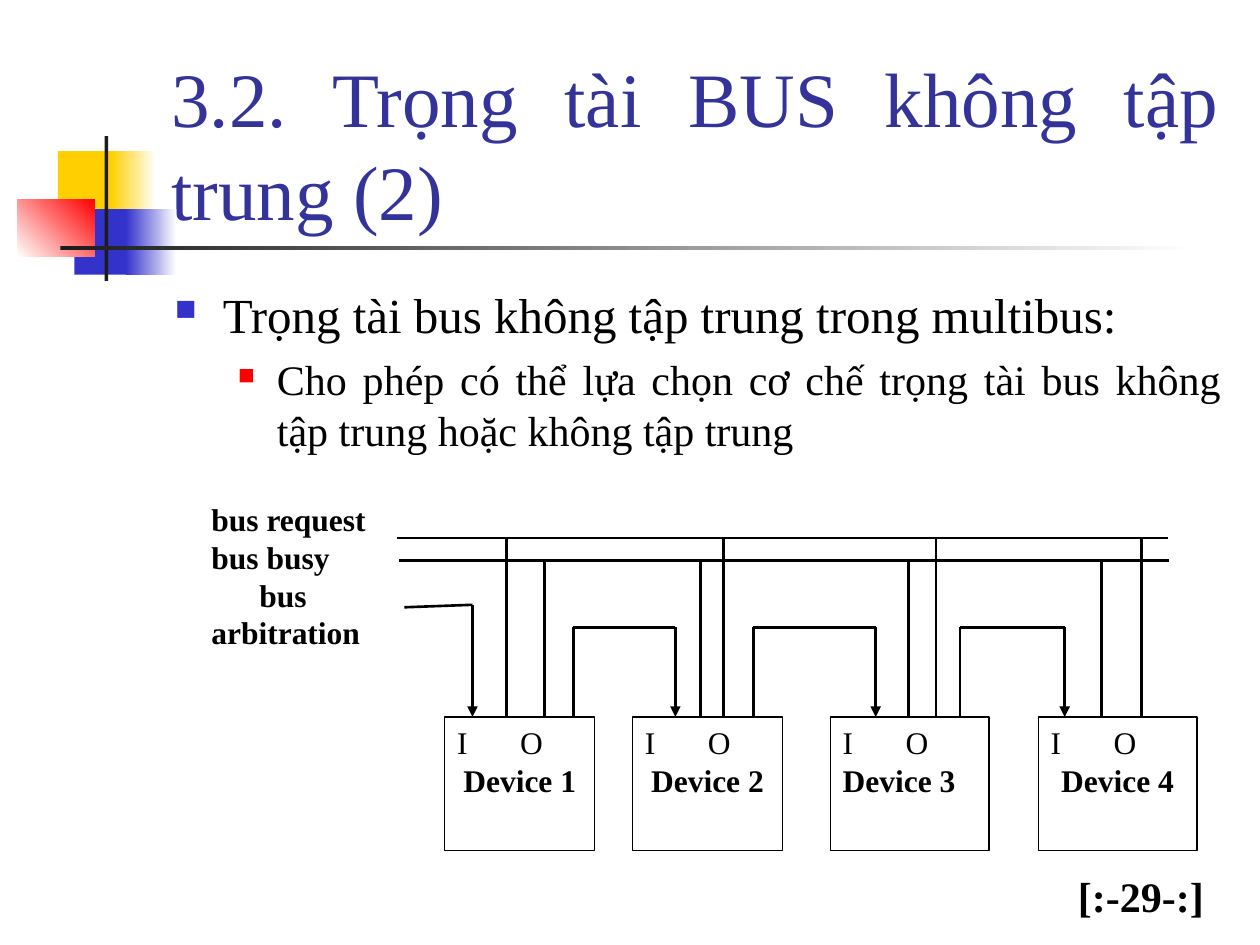
"""Builds a slide on decentralised bus arbitration with a daisy chain of four devices."""
from collections import namedtuple
from itertools import pairwise

from lxml import etree
from pptx import Presentation
from pptx.dml.color import RGBColor
from pptx.enum.shapes import MSO_CONNECTOR, MSO_SHAPE
from pptx.enum.text import MSO_ANCHOR, MSO_AUTO_SIZE, PP_ALIGN
from pptx.oxml.ns import qn
from pptx.util import Inches, Pt

RECTANGLE = MSO_SHAPE.RECTANGLE
STRAIGHT = MSO_CONNECTOR.STRAIGHT
LEFT, CENTER, JUSTIFY = PP_ALIGN.LEFT, PP_ALIGN.CENTER, PP_ALIGN.JUSTIFY
TOP, BOTTOM = MSO_ANCHOR.TOP, MSO_ANCHOR.BOTTOM
FIXED = MSO_AUTO_SIZE.NONE
TITLE_ONLY = 5
COLUMNS, ROWS = 100, 75
FONT = "Times New Roman"
COLORS = {
    "black": "000000", "white": "FFFFFF", "ink": "1C1C1C", "title": "333399",
    "yellow": "FFCF01", "blue": "3333CC", "red": "FF0000",
}
Device = namedtuple("Device", "name left width input output request busy align")
DEVICES = [
    Device("Device 1", 35.3, 11.9, 37.5, 45.5, 40.2, 43.2, CENTER),
    Device("Device 2", 50.2, 11.9, 53.6, 59.8, 57.4, 55.6, CENTER),
    Device("Device 3", 65.9, 12.6, 69.5, 76.2, 74.3, 72.1, LEFT),
    Device("Device 4", 82.4, 12.6, 84.5, None, 90.6, 87.4, CENTER),
]
REQUEST_ROW, BUSY_ROW, CHAIN_ROW, DEVICE_ROW = 42.7, 44.5, 49.8, 56.9
ARBITER_ROW = 48


class SlideBuilder:
    """Holds the style and the current slide, measured on a grid."""

    def __init__(self, deck):
        self.column = deck.slide_width / COLUMNS
        self.row = deck.slide_height / ROWS
        self.page = deck.slides.add_slide(deck.slide_layouts[TITLE_ONLY])

    def color(self, name):
        return RGBColor.from_string(COLORS[name])

    def place(self, left, top, width, height):
        return (round(left * self.column), round(top * self.row),
                round(width * self.column), round(height * self.row))

    def block(self, area, fill, end=None, angle=0, outline=None):
        box = self.page.shapes.add_shape(RECTANGLE, *self.place(*area))
        box.shadow.inherit = False
        if end:
            box.fill.gradient()
            box.fill.gradient_angle = angle
            for stop, name in zip(box.fill.gradient_stops, (fill, end)):
                stop.color.rgb = self.color(name)
        else:
            box.fill.solid()
            box.fill.fore_color.rgb = self.color(fill)
        if outline:
            box.line.color.rgb = self.color(outline)
            box.line.width = Pt(0.75)
        else:
            box.line.fill.background()
        return box

    def frame(self, box, anchor=TOP):
        frame = box.text_frame
        frame.word_wrap = True
        frame.auto_size = FIXED
        frame.vertical_anchor = anchor
        return frame

    def text_box(self, area):
        return self.frame(self.page.shapes.add_textbox(*self.place(*area)))

    def title(self, area, text):
        box = self.page.shapes.title
        box.left, box.top, box.width, box.height = self.place(*area)
        self.paragraph(self.frame(box, BOTTOM), text, 44, JUSTIFY, color="title")

    def paragraph(self, frame, text, size, align=LEFT, bold=False, color="black",
                  margin=0, indent=0, before=0, bullet=None, tab=None):
        first = frame.paragraphs[0]
        para = frame.add_paragraph() if first.runs else first
        para.alignment = align
        para.space_before = Pt(before)
        props = para._p.get_or_add_pPr()
        props.set("marL", str(Inches(margin)))
        props.set("indent", str(Inches(indent)))
        if bullet:
            name, percent = bullet
            paint = etree.SubElement(props, qn("a:buClr"))
            etree.SubElement(paint, qn("a:srgbClr"), val=COLORS[name])
            etree.SubElement(props, qn("a:buSzPct"), val=str(percent * 1000))
            etree.SubElement(props, qn("a:buChar"), char="■")
        if tab:
            tabs = etree.SubElement(props, qn("a:tabLst"))
            etree.SubElement(tabs, qn("a:tab"), pos=str(Inches(tab)), algn="l")
        span = para.add_run()
        span.text = text
        span.font.name = FONT
        span.font.size = Pt(size)
        span.font.bold = bold
        span.font.color.rgb = self.color(color)

    def wire(self, start, end, arrow=False):
        ends = self.place(*start, *end)
        wire = self.page.shapes.add_connector(STRAIGHT, *ends)
        wire.line.color.rgb = self.color("black")
        wire.line.width = Pt(1.5)
        if arrow:
            etree.SubElement(wire.line._get_or_add_ln(), qn("a:tailEnd"), type="triangle")
        etree.SubElement(wire._element.spPr, qn("a:effectLst"))

    def drop(self, column, row, arrow=False):
        self.wire((column, row), (column, DEVICE_ROW), arrow)

    def device(self, device):
        area = (device.left, DEVICE_ROW, device.width, 10.6)
        frame = self.frame(self.block(area, "white", outline="black"))
        ports = "I\tO" 
        self.paragraph(frame, ports, 18, tab=0.77)
        self.paragraph(frame, device.name, 18, device.align, bold=True)


def add_decoration(slide):
    slide.block((4.6, 12, 4.8, 5.2), "yellow")
    slide.block((8.8, 12, 3.6, 5.2), "yellow", "white")
    slide.block((5.9, 16.6, 4.6, 5.2), "blue")
    slide.block((10, 16.6, 4, 5.2), "blue", "white")
    slide.block((1.4, 15.8, 6.1, 4.6), "white", "red", angle=45)
    slide.block((8.3, 10.8, 0.3, 11.5), "ink")
    slide.block((4.8, 19.5, 90, 0.35), "ink", "white")


def add_text(slide):
    slide.title((12.6, 6.7, 85.2, 12.5), "3.2. Trọng tài BUS không tập trung (2)")
    body = slide.text_box((12.9, 22.1, 85, 16))
    slide.paragraph(body, "Trọng tài bus không tập trung trong multibus:", 28, JUSTIFY,
                    margin=0.38, indent=-0.38, bullet=("blue", 60))
    slide.paragraph(body, "Cho phép có thể lựa chọn cơ chế trọng tài bus không tập trung "
                    "hoặc không tập trung", 24, JUSTIFY, margin=0.81, indent=-0.31,
                    before=6, bullet=("red", 55))
    number = slide.text_box((82.2, 68.6, 16.7, 5.5))
    slide.paragraph(number, "[:-29-:]", 24, CENTER, bold=True)


def add_diagram(slide):
    for device in DEVICES:
        slide.device(device)
    slide.wire((31.5, REQUEST_ROW), (92.7, REQUEST_ROW))
    slide.wire((31.7, BUSY_ROW), (92.8, BUSY_ROW))
    for device in DEVICES:
        slide.drop(device.request, REQUEST_ROW)
        slide.drop(device.busy, BUSY_ROW)
    first = DEVICES[0].input
    slide.wire((32.1, ARBITER_ROW + 0.2), (first, ARBITER_ROW))
    slide.drop(first, ARBITER_ROW, arrow=True)
    for source, target in pairwise(DEVICES):
        slide.drop(source.output, CHAIN_ROW)
        slide.wire((source.output, CHAIN_ROW), (target.input, CHAIN_ROW))
        slide.drop(target.input, CHAIN_ROW, arrow=True)
    labels = slide.frame(slide.block((15.8, 39.2, 14.4, 12.4), "white"))
    for text, indent in (("bus request", 0), ("bus busy", 0), ("bus arbitration", 0.38)):
        slide.paragraph(labels, text, 18, bold=True, indent=indent)


def main():
    deck = Presentation()
    deck.slide_width, deck.slide_height = Inches(10), Inches(7.5)
    slide = SlideBuilder(deck)
    add_decoration(slide)
    add_text(slide)
    add_diagram(slide)
    deck.save("out.pptx")


if __name__ == "__main__":
    main()
